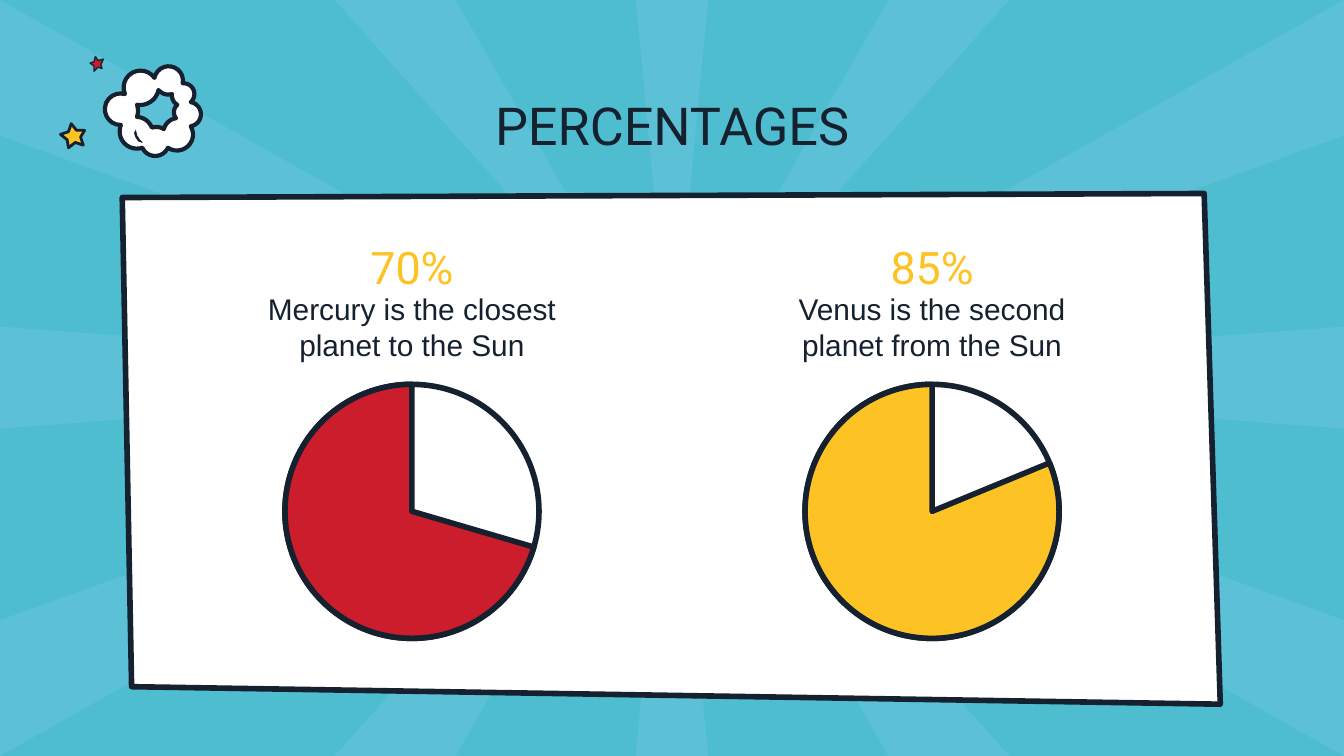
from math import atan, cos, sin, tan

from lxml.etree import SubElement
from pptx import Presentation
from pptx.dml.color import RGBColor
from pptx.enum.shapes import MSO_SHAPE
from pptx.enum.text import MSO_ANCHOR, MSO_AUTO_SIZE, PP_ALIGN
from pptx.oxml.ns import qn
from pptx.util import Inches, Pt

WIDTH, HEIGHT = 10, 5.625
CENTER = (WIDTH / 2, HEIGHT / 2)
COLUMN_OFFSET = 0.1935 * WIDTH
PIE_SIZE = 1.89

SKY, RAY, INK, WHITE = "4EBDCF", "5CC1D6", "162130", "FFFFFF"
RED, YELLOW = "CC1D2D", "FDC324"

# Ray edges in the top left quarter, mirrored into the other three
CORNER_RAYS = [
    ((2.49, 0), (3.39, 0)),
    ((0, 0), (0, 1.01)),
]
# Rays that lie across the middle of a side
SIDE_RAYS = [
    ((4.73, 0), (5.27, 0)),
    ((4.73, HEIGHT), (5.27, HEIGHT)),
    ((0, 2.43), (0, 3.19)),
    ((WIDTH, 2.43), (WIDTH, 3.19)),
]
PANEL = [(8.96, 1.44), (0.91, 1.47), (0.98, 5.11), (9.08, 5.24)]
YELLOW_STAR = [(0.45, 1), (0.51, 0.98), (0.53, 0.92), (0.57, 0.97), (0.63, 0.97),
               (0.6, 1.02), (0.62, 1.08), (0.56, 1.06), (0.51, 1.1), (0.5, 1.04)]
RED_STAR = [(0.67, 0.47), (0.7, 0.46), (0.71, 0.42), (0.73, 0.45), (0.77, 0.44),
            (0.75, 0.48), (0.76, 0.51), (0.73, 0.5), (0.7, 0.53), (0.7, 0.49)]
CLOUD_CREASE = [(1.06, 1.06), (1.04, 1.04), (1.02, 1.01), (1.01, 0.97),
                (1, 0.99), (1.01, 1.02), (1.03, 1.05)]
# Each joint: x, y and the height of the next bump as a share of its chord
CLOUD_OUTSIDE = [(1.15, 0.58, 0.5), (1.36, 0.62, 0.36), (1.42, 0.76, 0.42),
                 (1.42, 0.94, 0.4), (1.25, 1.1, 0.32), (1.06, 1.1, 0.32),
                 (0.9, 0.93, 0.58), (0.93, 0.7, 0.45)]
CLOUD_HOLE = [(1.18, 0.67, 0.2), (1.02, 0.78, 0.08), (1.02, 0.87, 0.15),
              (1.13, 0.95, 0.1), (1.22, 0.96, 0.15), (1.31, 0.88, 0.2),
              (1.32, 0.78, 0.15), (1.28, 0.7, 0.15)]

PLANETS = [
    {"share": "70%", "text": "Mercury is the closest planet to the Sun",
     "color": RED, "start_angle": 16.34},
    {"share": "85%", "text": "Venus is the second planet from the Sun",
     "color": YELLOW, "start_angle": 337.59},
]


def rgb(color):
    return RGBColor.from_string(color)


def style_shape(shape, fill=None, line_width=None):
    shape.shadow.inherit = False
    if fill:
        shape.fill.solid()
        shape.fill.fore_color.rgb = rgb(fill)
    else:
        shape.fill.background()
    if line_width:
        shape.line.color.rgb = rgb(INK)
        shape.line.width = Pt(line_width)
        SubElement(shape.line._get_or_add_ln(), qn("a:round"))
    else:
        shape.line.fill.background()


def add_outline(slide, contours, fill, line_width=None):
    """Draw closed contours, given in inches, as one freeform."""
    contours = [[(Inches(x), Inches(y)) for x, y in points] for points in contours]
    builder = slide.shapes.build_freeform(*contours[0][0])
    for index, (start, *others) in enumerate(contours):
        if index:
            builder.move_to(*start)
        builder.add_line_segments(others, close=True)
    style_shape(builder.convert_to_shape(), fill, line_width)


def bumpy_contour(joints, steps=12):
    """Join the joints by circular arcs that swell to the left of travel."""
    points = []
    for (x, y, height), (next_x, next_y, _) in zip(joints, joints[1:] + joints[:1]):
        start, end = complex(x, y), complex(next_x, next_y)
        half_angle = 2 * atan(2 * height)
        center = (start + end) / 2 + 1j * (end - start) / (2 * tan(half_angle))
        for step in range(steps):
            turn = 2 * half_angle * step / steps
            point = center + (start - center) * complex(cos(turn), sin(turn))
            points.append((point.real, point.imag))
    return points


def write_text(shape, text, anchor=MSO_ANCHOR.TOP, **font_format):
    frame = shape.text_frame
    frame_format = {"word_wrap": True, "auto_size": MSO_AUTO_SIZE.NONE,
                    "vertical_anchor": anchor}
    for side in ("left", "top", "right", "bottom"):
        frame_format[f"margin_{side}"] = Inches(0.1)
    for name, value in frame_format.items():
        setattr(frame, name, value)
    paragraph = frame.paragraphs[0]
    paragraph.alignment = PP_ALIGN.CENTER
    run = paragraph.add_run()
    run.text = text
    color = font_format.pop("color")
    for name, value in font_format.items():
        setattr(run.font, name, value)
    run.font.color.rgb = rgb(color)


def add_text(slide, center_x, top, width, height, text, **text_format):
    box = slide.shapes.add_textbox(Inches(center_x - width / 2), Inches(top),
                                   Inches(width), Inches(height))
    write_text(box, text, **text_format)


def add_background(slide):
    slide.background.fill.solid()
    slide.background.fill.fore_color.rgb = rgb(SKY)
    rays = list(SIDE_RAYS)
    for edge in CORNER_RAYS:
        for flip_x in (False, True):
            for flip_y in (False, True):
                rays.append([(WIDTH - x if flip_x else x, HEIGHT - y if flip_y else y)
                             for x, y in edge])
    for edge in rays:
        add_outline(slide, [[*edge, CENTER]], RAY)


def add_title(slide, text):
    """Fill the title placeholder and lift it above the shapes drawn so far."""
    title = slide.shapes.title
    slide.shapes._spTree.append(title._element)
    position = {"left": 1.38, "top": 0.59, "width": 7.24, "height": 1.09}
    for name, value in position.items():
        setattr(title, name, Inches(value))
    write_text(title, text, name="Roboto", size=Pt(28), color=INK)


def add_pie(slide, center_x, color, start_angle):
    bounds = [Inches(value) for value in
              (center_x - PIE_SIZE / 2, 2.86, PIE_SIZE, PIE_SIZE)]
    style_shape(slide.shapes.add_shape(MSO_SHAPE.OVAL, *bounds), line_width=3)
    pie = slide.shapes.add_shape(MSO_SHAPE.PIE, *bounds)
    for index, angle in enumerate((start_angle, 270)):
        pie.adjustments[index] = angle * 0.6  # 60000 units a degree, per 100000
    style_shape(pie, color, 3)


def add_planet(slide, center_x, planet):
    add_pie(slide, center_x, planet["color"], planet["start_angle"])
    add_text(slide, center_x, 2.1, 2.61, 0.66, planet["text"],
             anchor=MSO_ANCHOR.MIDDLE, name="Arial", size=Pt(16), color=INK)
    add_text(slide, center_x, 1.68, 1.49, 0.42, planet["share"],
             name="Roboto", size=Pt(24), color=YELLOW)


def add_cloud(slide):
    add_outline(slide, [YELLOW_STAR], YELLOW, 1.5)
    add_outline(slide, [RED_STAR], RED, 0.75)
    add_outline(slide, [bumpy_contour(CLOUD_OUTSIDE), bumpy_contour(CLOUD_HOLE)],
                WHITE, 2.25)
    add_outline(slide, [CLOUD_CREASE], INK, 0.31)


def main():
    presentation = Presentation()
    presentation.slide_width = Inches(WIDTH)
    presentation.slide_height = Inches(HEIGHT)
    slide = presentation.slides.add_slide(presentation.slide_layouts[5])
    add_background(slide)
    add_outline(slide, [PANEL], WHITE, 3)
    add_title(slide, "PERCENTAGES")
    for side, planet in zip((-1, 1), PLANETS):
        add_planet(slide, CENTER[0] + side * COLUMN_OFFSET, planet)
    add_cloud(slide)
    presentation.save("out.pptx")


if __name__ == "__main__":
    main()
